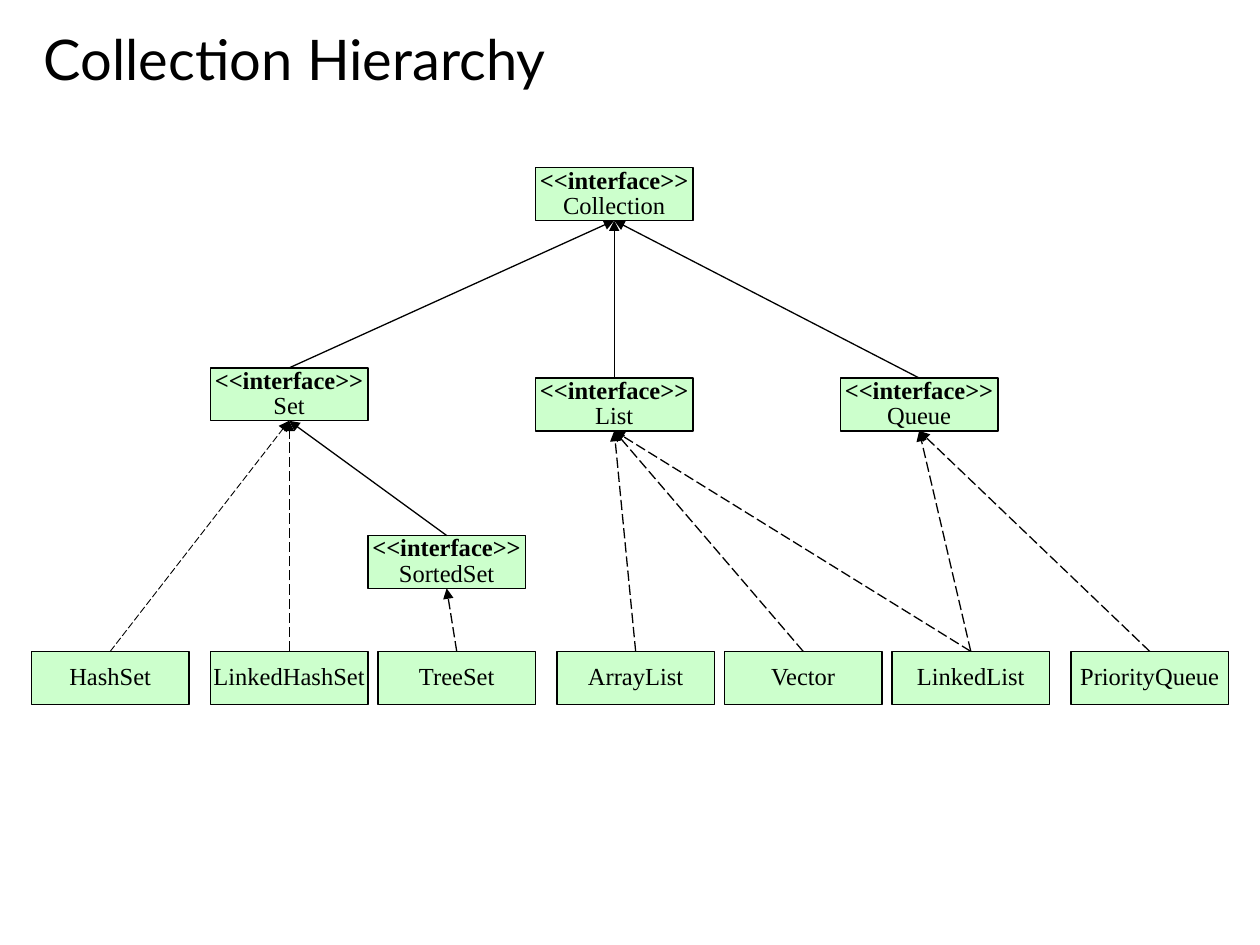
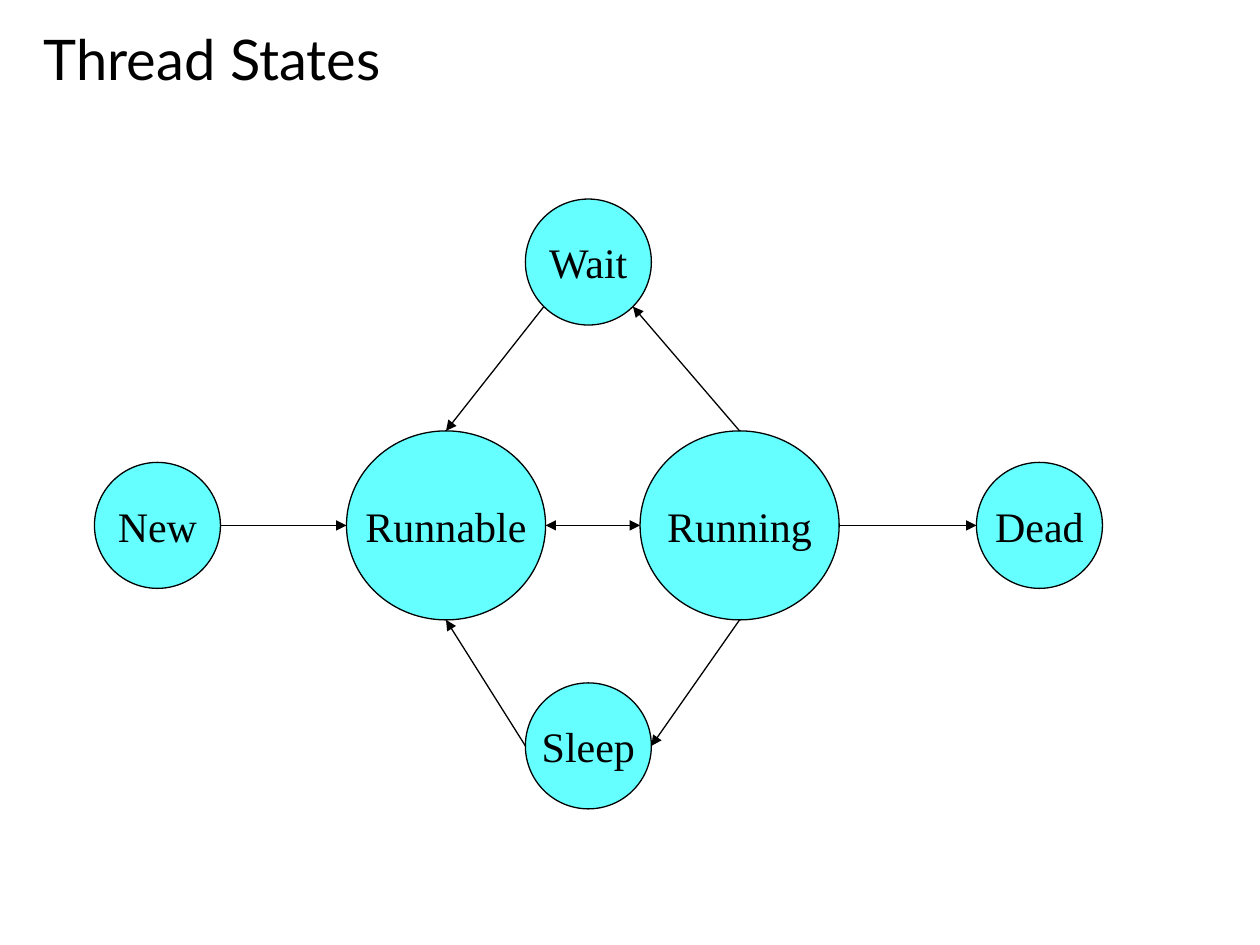
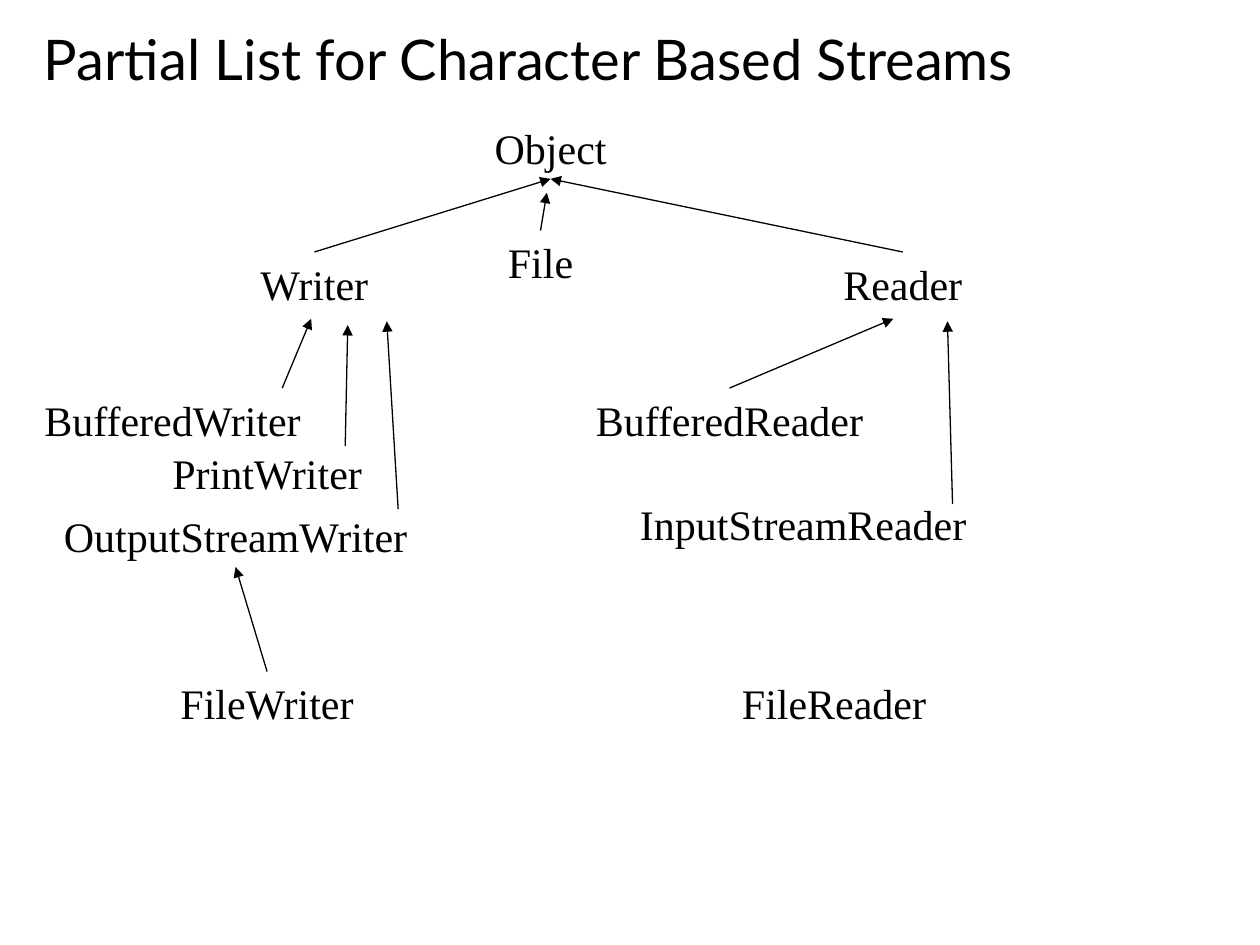
from math import cos, radians, sin

from lxml.etree import SubElement
from pptx import Presentation
from pptx.dml.color import RGBColor
from pptx.enum.dml import MSO_LINE
from pptx.enum.shapes import MSO_CONNECTOR, MSO_SHAPE
from pptx.enum.text import MSO_ANCHOR, PP_ALIGN
from pptx.oxml.ns import qn
from pptx.util import Inches, Pt

COLORS = {"ink": "000000", "paper": "FFFFFF", "class": "CCFFCC", "state": "66FFFF"}
TITLE_FONT, BODY_FONT = "Lato", "Times New Roman"
TOP, BOTTOM = 0, 2


def rgb(name):
    return RGBColor.from_string(COLORS[name])


class Deck:
    """Holds the shared style and the current slide."""

    def __init__(self):
        self.prs = Presentation()
        self.prs.slide_width, self.prs.slide_height = Inches(10), Inches(7.5)

    def add_slide(self, title, width=9.5):
        self.s = self.prs.slides.add_slide(self.prs.slide_layouts[6])
        sp = self.s.shapes.add_textbox(Inches(0.25), 0, Inches(width), Inches(0.92))
        self.set_text(sp, [title], 32, TITLE_FONT, PP_ALIGN.LEFT, wrap=True)

    def set_text(self, sp, lines, size, font=BODY_FONT, align=PP_ALIGN.CENTER,
                 spacing=None, wrap=False):
        tf = sp.text_frame
        tf.word_wrap = wrap
        tf.vertical_anchor = MSO_ANCHOR.MIDDLE
        tf.text = "\n".join(lines)
        for p in tf.paragraphs:
            p.alignment = align
            p.line_spacing = spacing
            p.font.size, p.font.name = Pt(size), font
            p.font.color.rgb = rgb("ink")

    def node(self, kind, x, y, w, h, lines, size, fill, line="ink", spacing=None):
        sp = self.s.shapes.add_shape(kind, Inches(x), Inches(y), Inches(w), Inches(h))
        sp.shadow.inherit = False
        sp.fill.solid()
        sp.fill.fore_color.rgb = rgb(fill)
        sp.line.color.rgb = rgb(line)
        sp.line.width = Pt(0.75)
        self.set_text(sp, lines, size, spacing=spacing)
        return sp

    def type_box(self, x, y, name, interface=False):
        lines = ["<<interface>>", name] if interface else [name]
        sp = self.node(MSO_SHAPE.RECTANGLE, x, y, 1.25, 0.42, lines, 14, "class",
                       spacing=0.86)
        sp.text_frame.paragraphs[0].font.bold = interface
        return sp

    def state(self, x, y, w, h, name):
        return self.node(MSO_SHAPE.OVAL, x, y, w, h, [name], 24, "state")

    def label(self, x, y, w, name):
        return self.node(MSO_SHAPE.RECTANGLE, x, y, w, 0.5, [name], 24, "paper", "paper")

    def arrow(self, start, end, dashed=False, width=0.75, both=False):
        cx = self.s.shapes.add_connector(MSO_CONNECTOR.STRAIGHT, *start, *end)
        cx.line.color.rgb = rgb("ink")
        cx.line.width = Pt(width)
        if dashed:
            cx.line.dash_style = MSO_LINE.LONG_DASH
        spPr = cx._element.spPr
        ln = spPr.find(qn("a:ln"))
        for tag in ["a:headEnd", "a:tailEnd"] if both else ["a:tailEnd"]:
            SubElement(ln, qn(tag), type="triangle")
        SubElement(spPr, qn("a:effectLst"))
        return cx

    def inherit(self, child, parent, dashed=False, width=0.75):
        cx = self.arrow((0, 0), (0, 0), dashed, width)
        cx.begin_connect(child, TOP)
        cx.end_connect(parent, BOTTOM)


def rim(sp, angle):
    """Return the point on an ellipse at an angle counted clockwise from the right."""
    a = radians(angle)
    return (int(sp.left + sp.width / 2 * (1 + cos(a))),
            int(sp.top + sp.height / 2 * (1 + sin(a))))


def point(x, y):
    return Inches(x), Inches(y)


def collection_hierarchy(deck):
    deck.add_slide("Collection Hierarchy")
    interfaces = {"Collection": (4.25, 1.33), "Set": (1.67, 2.92), "List": (4.25, 3),
                  "Queue": (6.67, 3), "SortedSet": (2.92, 4.25)}
    classes = {"HashSet": 0.25, "LinkedHashSet": 1.67, "TreeSet": 3, "ArrayList": 4.42,
               "Vector": 5.75, "LinkedList": 7.08, "PriorityQueue": 8.5}
    boxes = {n: deck.type_box(x, y, n, True) for n, (x, y) in interfaces.items()}
    boxes.update({n: deck.type_box(x, 5.17, n) for n, x in classes.items()})
    extends = [("Set", "Collection"), ("List", "Collection"), ("Queue", "Collection"),
               ("SortedSet", "Set")]
    implements = [("LinkedHashSet", "Set"), ("TreeSet", "SortedSet"),
                  ("ArrayList", "List"), ("Vector", "List"), ("LinkedList", "List"),
                  ("LinkedList", "Queue"), ("PriorityQueue", "Queue")]
    for child, parent in extends:
        deck.inherit(boxes[child], boxes[parent])
    deck.inherit(boxes["HashSet"], boxes["Set"], dashed=True, width=0.5)
    for child, parent in implements:
        deck.inherit(boxes[child], boxes[parent], dashed=True)


def thread_states(deck):
    deck.add_slide("Thread States")
    new, wait, dead, sleep = [
        deck.state(x, y, 1, 1, name) for x, y, name in
        [(0.75, 3.67, "New"), (4.17, 1.58, "Wait"), (7.75, 3.67, "Dead"),
         (4.17, 5.42, "Sleep")]]
    runnable, running = [deck.state(x, 3.42, 1.58, 1.5, name) for x, name in
                         [(2.75, "Runnable"), (5.08, "Running")]]
    deck.arrow(rim(runnable, 0), rim(running, 180), both=True)
    for start, a, end, b in [
            (new, 0, runnable, 180), (running, 0, dead, 180), (running, 90, sleep, 0),
            (sleep, 180, runnable, 90), (wait, 135, runnable, 270),
            (running, 270, wait, 45)]:
        deck.arrow(rim(start, a), rim(end, b))


def character_streams(deck):
    deck.add_slide("Partial List for Character Based Streams", 9.75)
    labels = {name: deck.label(x, y, w, name) for name, x, y, w in [
        ("BufferedWriter", 0.08, 3.08, 2.58), ("Object", 3.58, 0.92, 1.58),
        ("Reader", 6.08, 2, 2.17), ("Writer", 1.08, 2, 2.83),
        ("PrintWriter", 0.83, 3.5, 2.58), ("OutputStreamWriter", 0.58, 4, 2.58),
        ("FileWriter", 0.83, 5.33, 2.58), ("BufferedReader", 4.5, 3.08, 2.58),
        ("InputStreamReader", 4.75, 3.91, 3.25), ("File", 3.5, 1.83, 1.58),
        ("FileReader", 5.33, 5.33, 2.58)]}
    for child, parent in [("Writer", "Object"), ("Reader", "Object"),
                          ("FileWriter", "OutputStreamWriter")]:
        deck.inherit(labels[child], labels[parent])
    for child, tip in [("File", (4.34, 1.53)), ("BufferedReader", (7.09, 2.53))]:
        deck.arrow((0, 0), point(*tip)).begin_connect(labels[child], TOP)
    for start, end in [((2.24, 3.08), (2.47, 2.53)), ((2.74, 3.54), (2.76, 2.58)),
                       ((3.16, 4.04), (3.07, 2.55)), ((7.56, 4), (7.52, 2.55))]:
        deck.arrow(point(*start), point(*end))


def main():
    deck = Deck()
    collection_hierarchy(deck)
    thread_states(deck)
    character_streams(deck)
    deck.prs.save("out.pptx")


if __name__ == "__main__":
    main()
